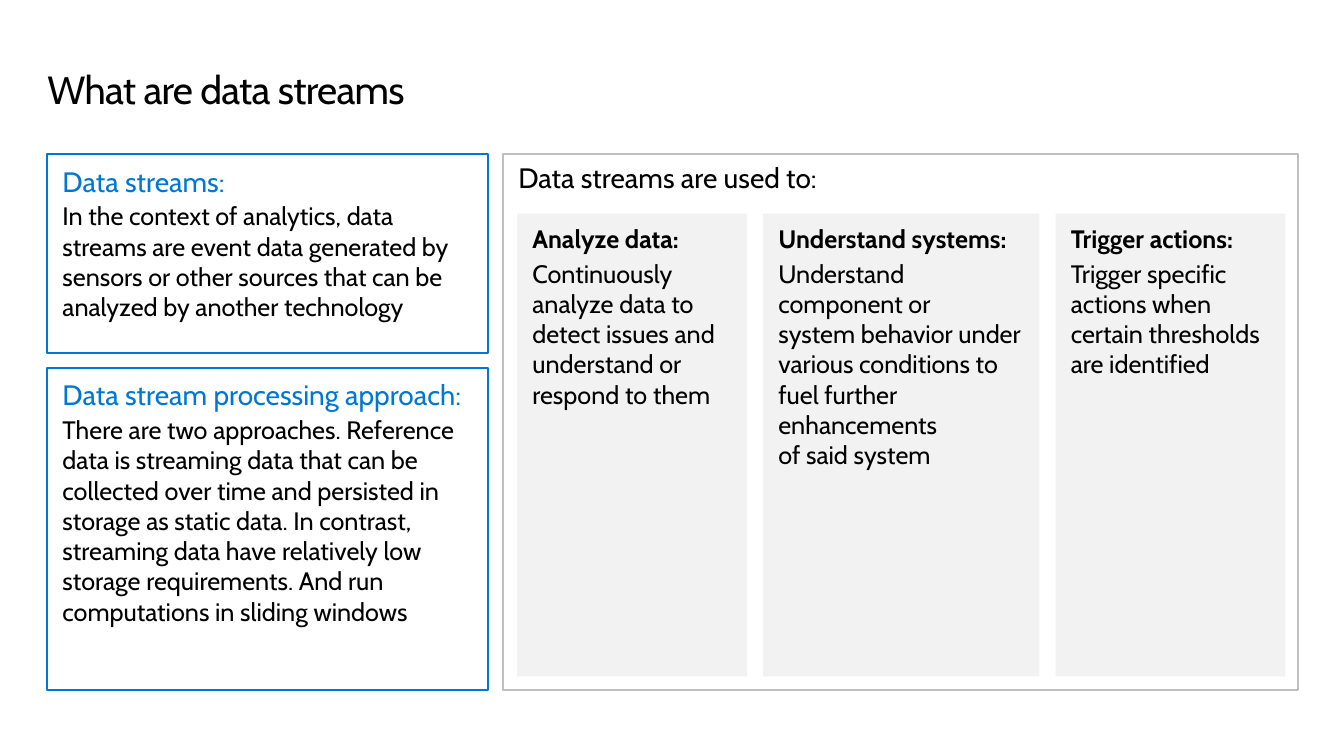
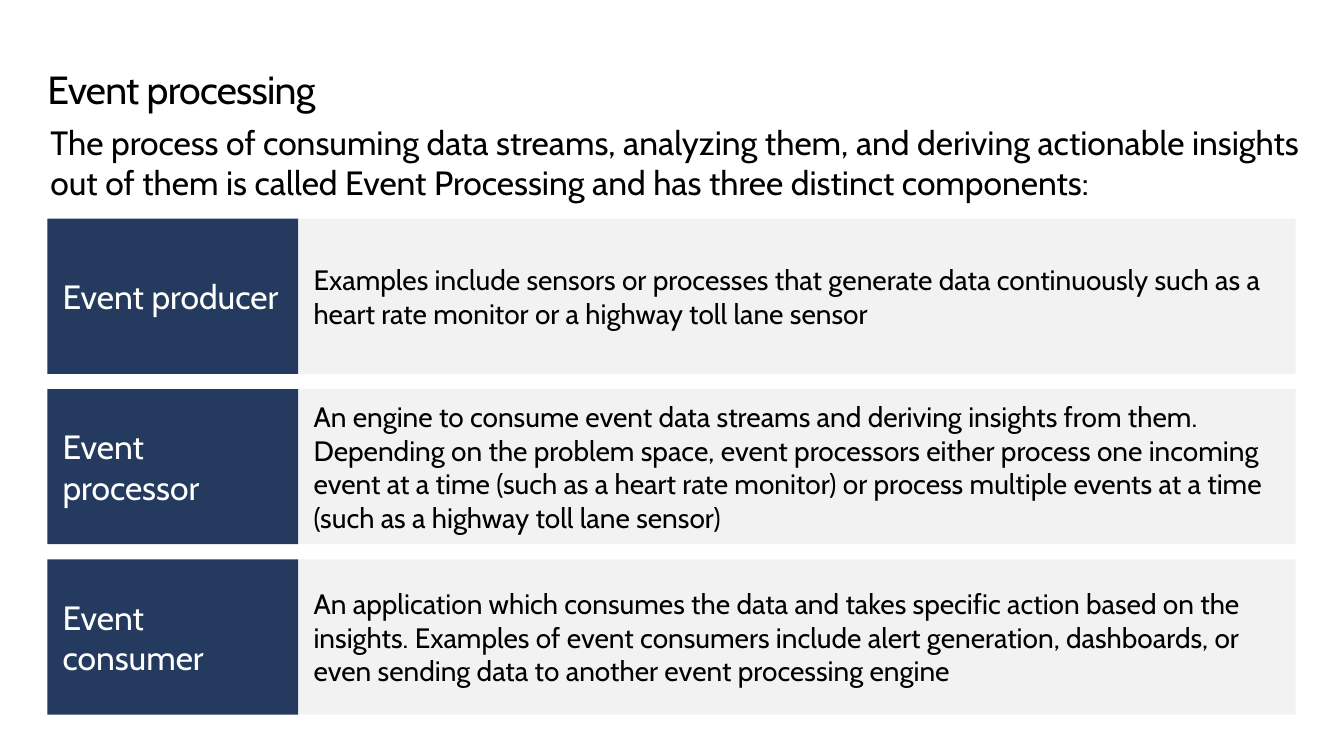
from pptx import Presentation
from pptx import util as u
from pptx.dml.color import RGBColor
from pptx.enum import shapes, text

COLORS = {
    "ink": "000000",
    "paper": "FFFFFF",
    "accent": "0078D3",
    "frame": "BFBFBF",
    "panel": "F2F2F2",
    "navy": "243A5E",
}
FONT = "Cabin"
SCALE = 9144  # EMU per px, 100 px to the inch
LEFT, GAP = 47, 15
INSETS = (15, 10, 15, 10)
NO_INSETS = (0, 0, 0, 0)


def px(*lengths):
    return [u.Emu(length * SCALE) for length in lengths]


def color(name):
    return RGBColor.from_string(COLORS[name])


def write(para, words, size=18, ink="ink", bold=False, before=0, after=0,
          leading=1.0, tracking=None):
    """Fill a paragraph with text; a newline becomes a line break."""
    para.text = words
    para.alignment = text.PP_ALIGN.LEFT
    para.space_before, para.space_after = u.Pt(before), u.Pt(after)
    para.line_spacing = leading
    for span in para.runs:
        span.font.name = FONT
        span.font.size = u.Pt(size)
        span.font.bold = bold
        span.font.color.rgb = color(ink)
        if tracking is not None:
            span._r.get_or_add_rPr().set("spc", str(tracking))


class SlideBuilder:
    def __init__(self):
        self.deck = Presentation()
        self.deck.slide_width, self.deck.slide_height = px(1333, 750)
        self.page = None

    def frame(self, shape, insets, paragraphs, middle=False):
        """Set up a text frame and write (words, format) pairs into it."""
        box = shape.text_frame
        box.word_wrap = True
        box.auto_size = text.MSO_AUTO_SIZE.NONE
        box.vertical_anchor = (text.MSO_ANCHOR.MIDDLE if middle
                               else text.MSO_ANCHOR.TOP)
        (box.margin_left, box.margin_top,
         box.margin_right, box.margin_bottom) = px(*insets)
        for index, (words, style) in enumerate(paragraphs):
            para = box.add_paragraph() if index else box.paragraphs[0]
            write(para, words, **style)

    def new_page(self, title):
        self.page = self.deck.slides.add_slide(self.deck.slide_layouts[5])
        holder = self.page.shapes.title
        holder.left, holder.top, holder.width, holder.height = px(
            LEFT, 68, 1240, 44)
        style = dict(size=28, leading=u.Pt(31.4), tracking=-50)
        self.frame(holder, NO_INSETS, [(title, style)])

    def text_box(self, at, words, **style):
        box = self.page.shapes.add_textbox(*px(*at))
        self.frame(box, NO_INSETS, [(words, style)])

    def panel(self, at, paragraphs, fill=None, line=None, middle=False):
        box = self.page.shapes.add_shape(
            shapes.MSO_SHAPE.RECTANGLE, *px(*at))
        box.shadow.inherit = False
        if fill:
            box.fill.solid()
            box.fill.fore_color.rgb = color(fill)
        else:
            box.fill.background()
        if line:
            box.line.color.rgb = color(line)
            box.line.width = u.Pt(1.5)
        else:
            box.line.fill.background()
        self.frame(box, INSETS, paragraphs, middle)


def data_streams(builder):
    builder.new_page("What are data streams")

    # Definitions on the left
    top = 153
    for height, heading, words in (
        (197, "Data streams:",
         "In the context of analytics, data streams are event data generated "
         "by sensors or other sources that can be analyzed by another "
         "technology"),
        (320, "Data stream processing approach:",
         "There are two approaches. Reference data is streaming data that can "
         "be collected over time and persisted in storage as static data. In "
         "contrast, streaming data have relatively low storage requirements. "
         "And run computations in sliding windows"),
    ):
        builder.panel((LEFT, top, 437, height), [
            (heading, dict(size=20, ink="accent", after=2)),
            (words, {}),
        ], line="accent")
        top += height + GAP

    # Uses on the right
    builder.panel((499, 153, 788, 532), [
        ("Data streams are used to:", dict(size=20, leading=0.9)),
    ], line="frame")
    left = 513
    for width, heading, words in (
        (228, "Analyze data:",
         "Continuously analyze data to detect issues and understand or "
         "respond to them"),
        (274, "Understand systems:",
         "Understand component or\nsystem behavior under various conditions "
         "to fuel further enhancements\nof said system"),
        (228, "Trigger actions:",
         "Trigger specific actions when certain thresholds are identified"),
    ):
        builder.panel((left, 212, width, 459), [
            (heading, dict(bold=True)),
            (words, dict(before=2.9)),
        ], fill="panel")
        left += width + GAP + 1


def event_processing(builder):
    builder.new_page("Event processing")
    builder.text_box(
        (50, 121, 1242, 81),
        "The process of consuming data streams, analyzing them, and deriving "
        "actionable insights out of them is called Event Processing and has "
        "three distinct components:", size=24)

    # One row per component: name, then description
    name_width, row_height = 249, 154
    for index, (name, words) in enumerate((
        ("Event producer",
         "Examples include sensors or processes that generate data "
         "continuously such as a heart rate monitor or a highway toll lane "
         "sensor"),
        ("Event processor",
         "An engine to consume event data streams and deriving insights from "
         "them. Depending on the problem space, event processors either "
         "process one incoming event at a time (such as a heart rate monitor) "
         "or process multiple events at a time (such as a highway toll lane "
         "sensor)"),
        ("Event consumer",
         "An application which consumes the data and takes specific action "
         "based on the insights. Examples of event consumers include alert "
         "generation, dashboards, or even sending data to another event "
         "processing engine"),
    )):
        top = 217 + index * (row_height + GAP)
        builder.panel((LEFT, top, name_width, row_height),
                      [(name, dict(size=24, ink="paper"))],
                      fill="navy", middle=True)
        builder.panel((LEFT + name_width, top, 989, row_height),
                      [(words, dict(size=20))],
                      fill="panel", middle=True)


def main():
    builder = SlideBuilder()
    data_streams(builder)
    event_processing(builder)
    builder.deck.save("out.pptx")


if __name__ == "__main__":
    main()
